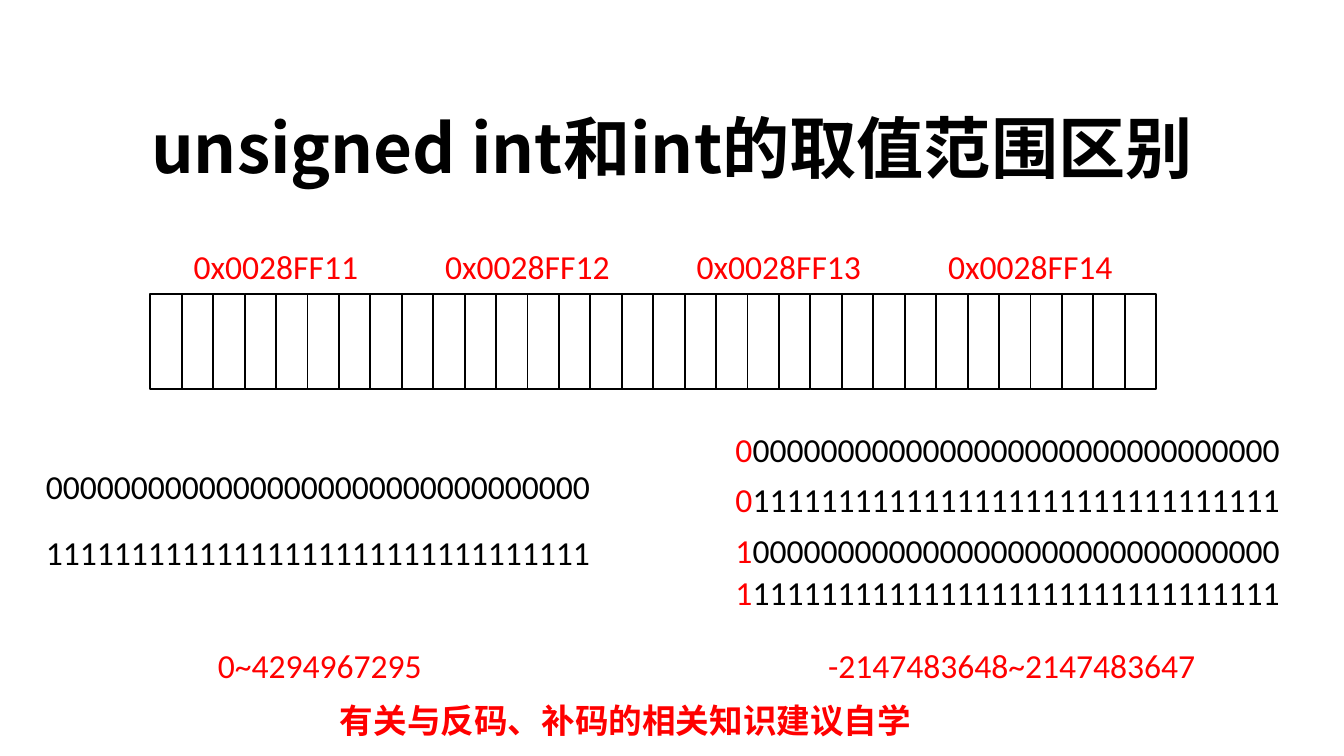
"""Build a slide that compares the value ranges of unsigned int and int."""
import lxml.etree
import pptx
import pptx.dml.color
import pptx.enum.shapes
import pptx.enum.text
import pptx.oxml.ns
import pptx.util

Pt = pptx.util.Pt
ALIGN = pptx.enum.text.PP_ALIGN
COLORS = {"ink": "000000", "accent": "FF0000", "paper": "FFFFFF"}
CJK_FONT = "Noto Sans CJK SC"
BITS_PER_BYTE = 8
BIT_WIDTH, BIT_HEIGHT = 16.84, 51.1
MEMORY_LEFT, MEMORY_TOP = 80.5, 157.4
LINE_HEIGHT = 29


def rgb(color):
    return pptx.dml.color.RGBColor.from_string(COLORS[color])


def add_run(paragraph, wording, color, **formats):
    run = paragraph.add_run()
    run.text = wording
    values = {"name": "Calibri", "size": Pt(18), "bold": False, **formats}
    for attribute, value in values.items():
        setattr(run.font, attribute, value)
    run.font.color.rgb = rgb(color)
    east_asian = lxml.etree.SubElement(
        run.font._element, pptx.oxml.ns.qn("a:ea"))
    east_asian.set("typeface", CJK_FONT)


def add_title(slide, wording):
    title = slide.shapes.title
    place = {"left": Pt(36), "top": Pt(51.8), "width": Pt(648), "height": Pt(54)}
    for attribute, value in place.items():
        setattr(title, attribute, value)
    frame = title.text_frame
    frame.auto_size = pptx.enum.text.MSO_AUTO_SIZE.NONE
    frame.vertical_anchor = pptx.enum.text.MSO_ANCHOR.MIDDLE
    heading = frame.paragraphs[0]
    heading.alignment = ALIGN.CENTER
    add_run(heading, wording, "ink", name=CJK_FONT, size=Pt(36), bold=True)


def add_line(shapes, left, top, width, parts, align=ALIGN.CENTER, **formats):
    box = shapes.add_textbox(Pt(left), Pt(top), Pt(width), Pt(LINE_HEIGHT))
    frame = box.text_frame
    frame.word_wrap = False
    frame.auto_size = pptx.enum.text.MSO_AUTO_SIZE.SHAPE_TO_FIT_TEXT
    paragraph = frame.paragraphs[0]
    paragraph.alignment = align
    for wording, color in parts:
        add_run(paragraph, wording, color, **formats)


def add_bit(shapes, left):
    bit = shapes.add_shape(
        pptx.enum.shapes.MSO_SHAPE.RECTANGLE,
        Pt(left + (BIT_WIDTH - BIT_HEIGHT) / 2),
        Pt(MEMORY_TOP + (BIT_HEIGHT - BIT_WIDTH) / 2),
        Pt(BIT_HEIGHT), Pt(BIT_WIDTH))
    bit.rotation = 90
    bit.shadow.inherit = False
    bit.fill.solid()
    bit.fill.fore_color.rgb = rgb("paper")
    bit.line.color.rgb = rgb("ink")
    bit.line.width = Pt(1)


def add_byte(slide, index, address):
    byte = slide.shapes.add_group_shape()
    byte_width = BITS_PER_BYTE * BIT_WIDTH
    left = MEMORY_LEFT + index * byte_width
    for position in range(BITS_PER_BYTE):
        add_bit(byte.shapes, left + position * BIT_WIDTH)
    label_width = 103.7
    add_line(byte.shapes, left + (byte_width - label_width) / 2, 128.2,
             label_width, [(address, "accent")])


def main():
    presentation = pptx.Presentation()
    presentation.slide_width, presentation.slide_height = Pt(720), Pt(405)
    slide = presentation.slides.add_slide(presentation.slide_layouts[5])
    add_title(slide, "unsigned int和int的取值范围区别")
    for index in range(4):
        add_byte(slide, index, f"0x0028FF1{index + 1}")

    for digit, top in (("0", 246.2), ("1", 281.5)):
        add_line(slide.shapes, 15.8, top, 309.6, [(digit * 32, "ink")])
    for sign, digit, top in (("0", "0", 226.1), ("0", "1", 252.9),
                             ("1", "0", 280.1), ("1", "1", 303.1)):
        add_line(slide.shapes, 385.2, top, 309.6,
                 [(sign, "accent"), (digit * 31, "ink")])

    for value_range, left, width in (("0~4294967295", 108.7, 125.3),
                                     ("-2147483648~2147483647", 432.7, 218.9)):
        add_line(slide.shapes, left, 342, width, [(value_range, "accent")])
    add_line(slide.shapes, 175, 371.5, 331.9,
             [("有关与反码、补码的相关知识建议自学", "accent")],
             align=ALIGN.LEFT, bold=True)
    presentation.save("out.pptx")


if __name__ == "__main__":
    main()
